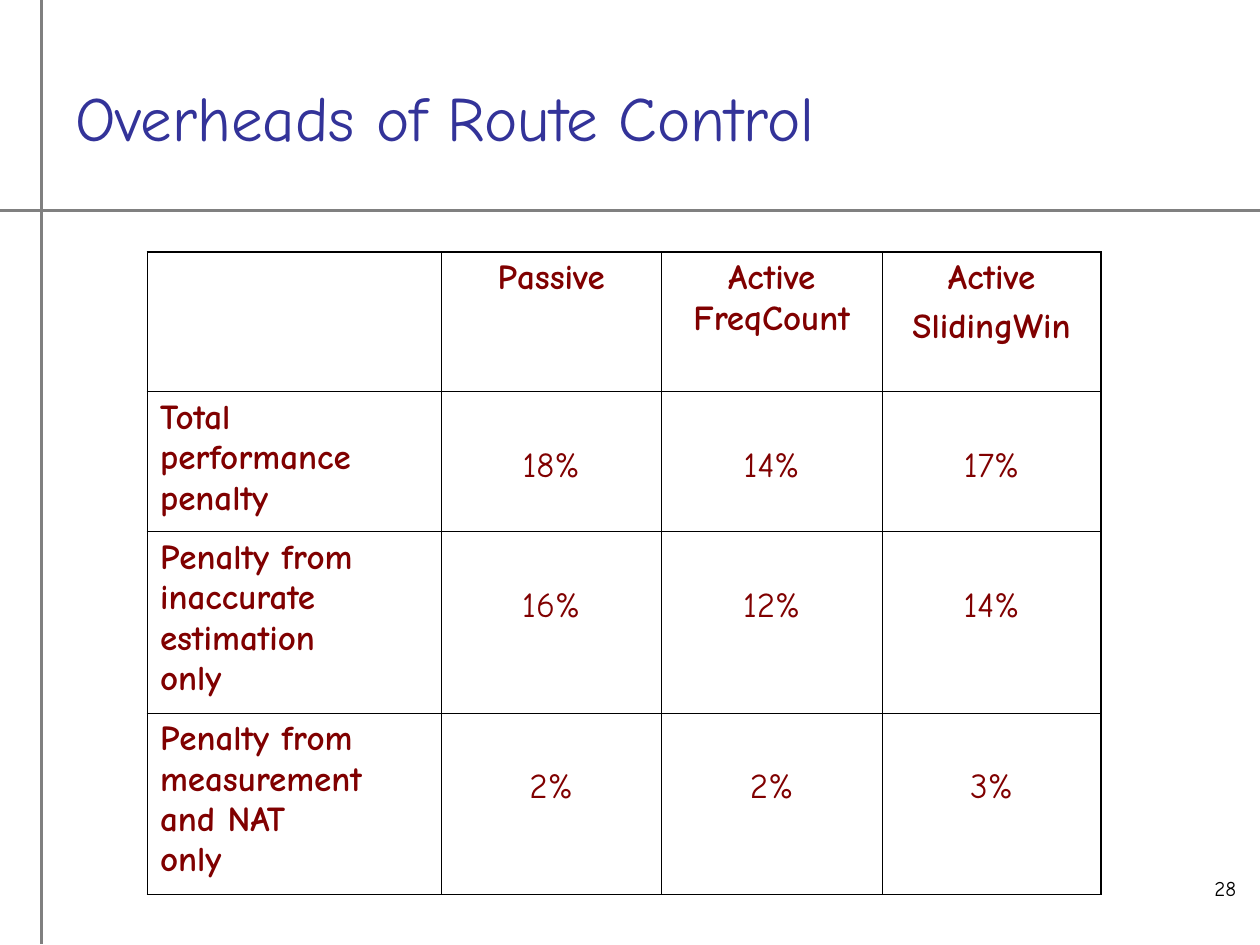
from dataclasses import dataclass

from lxml import etree
from pptx import Presentation
from pptx.dml.color import RGBColor
from pptx.enum.shapes import MSO_CONNECTOR
from pptx.enum.text import MSO_ANCHOR, PP_ALIGN
from pptx.oxml.ns import qn
from pptx.util import Emu, Inches, Pt

LEFT, CENTER, RIGHT = PP_ALIGN.LEFT, PP_ALIGN.CENTER, PP_ALIGN.RIGHT
TOP, MIDDLE = MSO_ANCHOR.TOP, MSO_ANCHOR.MIDDLE
STRAIGHT = MSO_CONNECTOR.STRAIGHT

# The page is a grid of 100 columns by 75 rows
UNIT = Inches(0.1)
PAGE_COLUMNS, PAGE_ROWS = 100, 75
FONT = "Comic Neue"
GRAY, BLUE, MAROON, BLACK = "808080", "333399", "800000", "000000"
OUTER_WIDTH, INNER_WIDTH = 1.08, 0.45

TABLE_LEFT, TABLE_TOP = 11.7, 20
COLUMN_WIDTHS = (23.3, 17.5, 17.5, 17.4)
ROW_HEIGHTS = (11.1, 11.1, 14.4, 14.4)
VALUE_DROP = 4.3  # values sit one line below the top of their row


@dataclass(frozen=True)
class Style:
    size: float
    color: str
    bold: bool = False
    align: PP_ALIGN = LEFT


@dataclass(frozen=True)
class Label:
    text: str
    left: float
    top: float
    width: float
    height: float
    style: Style
    anchor: MSO_ANCHOR = TOP


@dataclass(frozen=True)
class Rule:
    start: tuple[float, float]
    end: tuple[float, float]


HEADER = Style(20, MAROON, True, CENTER)
ROW_NAME = Style(20, MAROON, True)
VALUE = Style(20, MAROON, False, CENTER)

RULES = (
    Rule((0, 16.7), (PAGE_COLUMNS, 16.7)),
    Rule((3.3, 0), (3.3, 74.9)),
)
LABELS = (
    Label("Overheads of Route Control", 5, 3, 90, 12.5, Style(36, BLUE), MIDDLE),
    Label("28", 75.8, 69, 23.3, 5.2, Style(12, BLACK, align=RIGHT)),
)
# Each cell is a tuple of paragraphs; a newline is a line break
TABLE = (
    ((), ("Passive",), ("Active\nFreqCount",), ("Active", "SlidingWin")),
    (("Total\nperformance\npenalty",), ("18%",), ("14%",), ("17%",)),
    (("Penalty from inaccurate\nestimation\nonly",), ("16%",), ("12%",), ("14%",)),
    (("Penalty from measurement\nand NAT\nonly",), ("2%",), ("2%",), ("3%",)),
)


def grid(count: float) -> Emu:
    return Emu(round(count * UNIT))


def rgb(color: str) -> RGBColor:
    return RGBColor.from_string(color)


def write(frame, paragraphs: tuple[str, ...], style: Style) -> None:
    frame.word_wrap = True
    for index, text in enumerate(paragraphs):
        para = frame.add_paragraph() if index else frame.paragraphs[0]
        para.text = text
        para.alignment = style.align
        if index:
            para.space_before = Pt(5)
        for span in para.runs:
            span.font.name = FONT
            span.font.size = Pt(style.size)
            span.font.bold = style.bold
            span.font.color.rgb = rgb(style.color)


def draw_rule(page, rule: Rule) -> None:
    ends = [grid(value) for value in rule.start + rule.end]
    line = page.shapes.add_connector(STRAIGHT, *ends)
    line.line.color.rgb = rgb(GRAY)
    line.line.width = Pt(1.5)
    etree.SubElement(line._element.spPr, qn("a:effectLst"))


def draw_label(page, label: Label) -> None:
    area = (label.left, label.top, label.width, label.height)
    box = page.shapes.add_textbox(*map(grid, area))
    box.text_frame.vertical_anchor = label.anchor
    write(box.text_frame, (label.text,), label.style)


def set_borders(cell, widths: dict[str, float]) -> None:
    properties = cell._tc.get_or_add_tcPr()
    for side, width in widths.items():
        border = etree.SubElement(properties, qn(f"a:ln{side}"), w=str(Pt(width)))
        fill = etree.SubElement(border, qn("a:solidFill"))
        etree.SubElement(fill, qn("a:srgbClr"), val=BLACK)


def draw_table(page) -> None:
    area = (TABLE_LEFT, TABLE_TOP, sum(COLUMN_WIDTHS), sum(ROW_HEIGHTS))
    last_row, last_column = len(ROW_HEIGHTS) - 1, len(COLUMN_WIDTHS) - 1
    table = page.shapes.add_table(
        len(ROW_HEIGHTS), len(COLUMN_WIDTHS), *map(grid, area)
    ).table
    table.first_row = table.horz_banding = False
    for column, width in zip(table.columns, COLUMN_WIDTHS):
        column.width = grid(width)
    for row, height in zip(table.rows, ROW_HEIGHTS):
        row.height = grid(height)

    for r, row_cells in enumerate(TABLE):
        for c, paragraphs in enumerate(row_cells):
            cell = table.cell(r, c)
            style = HEADER if r == 0 else ROW_NAME if c == 0 else VALUE
            if style is VALUE:
                cell.margin_top = grid(VALUE_DROP)
            write(cell.text_frame, paragraphs, style)
            # The outer frame is heavier than the inner lines
            outer = {"L": c == 0, "R": c == last_column,
                     "T": r == 0, "B": r == last_row}
            set_borders(cell, {side: OUTER_WIDTH if edge else INNER_WIDTH
                               for side, edge in outer.items()})
            cell.fill.background()


def main() -> None:
    deck = Presentation()
    deck.slide_width, deck.slide_height = grid(PAGE_COLUMNS), grid(PAGE_ROWS)
    page = deck.slides.add_slide(deck.slide_layouts[6])
    for rule in RULES:
        draw_rule(page, rule)
    for label in LABELS:
        draw_label(page, label)
    draw_table(page)
    deck.save("out.pptx")


if __name__ == "__main__":
    main()
